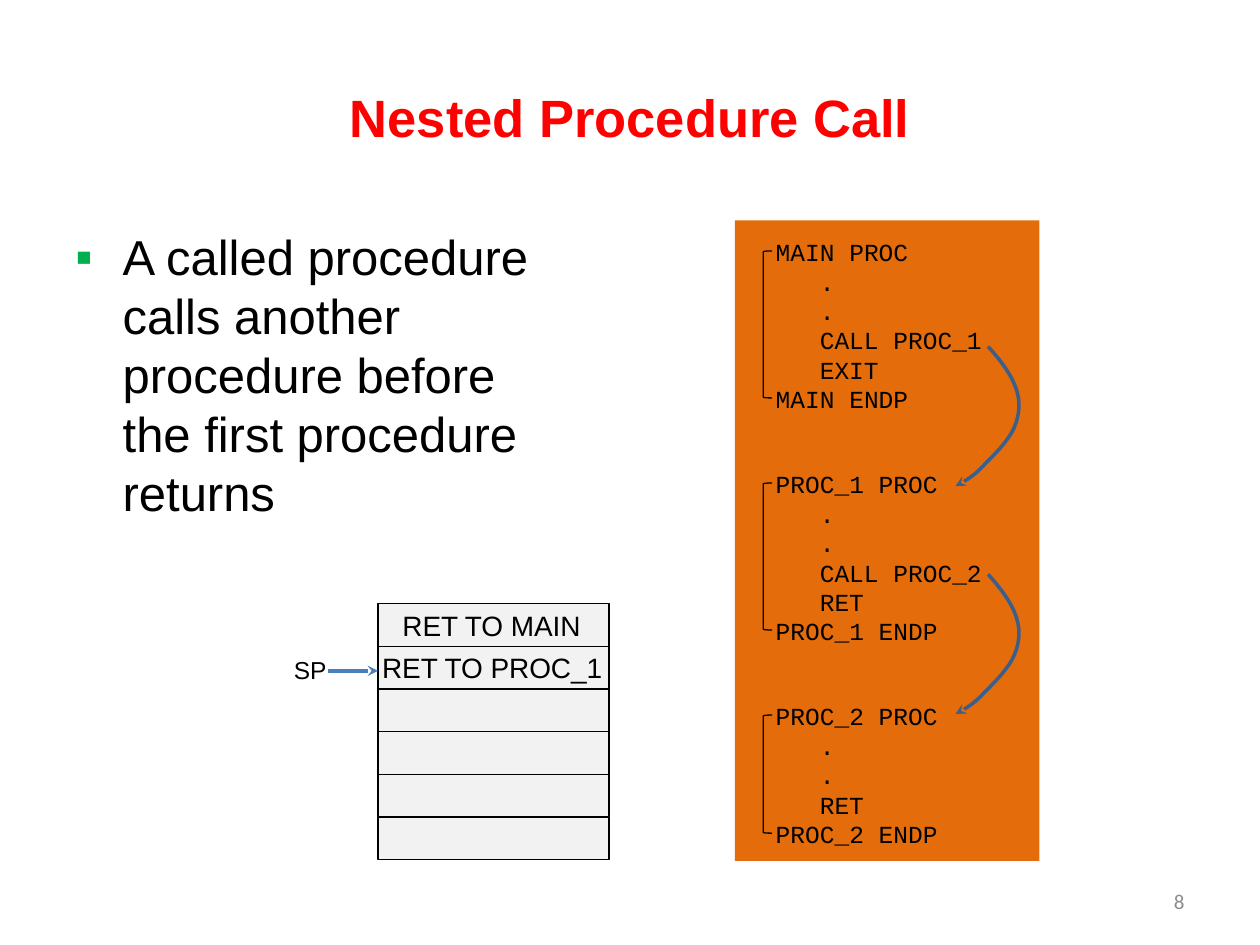
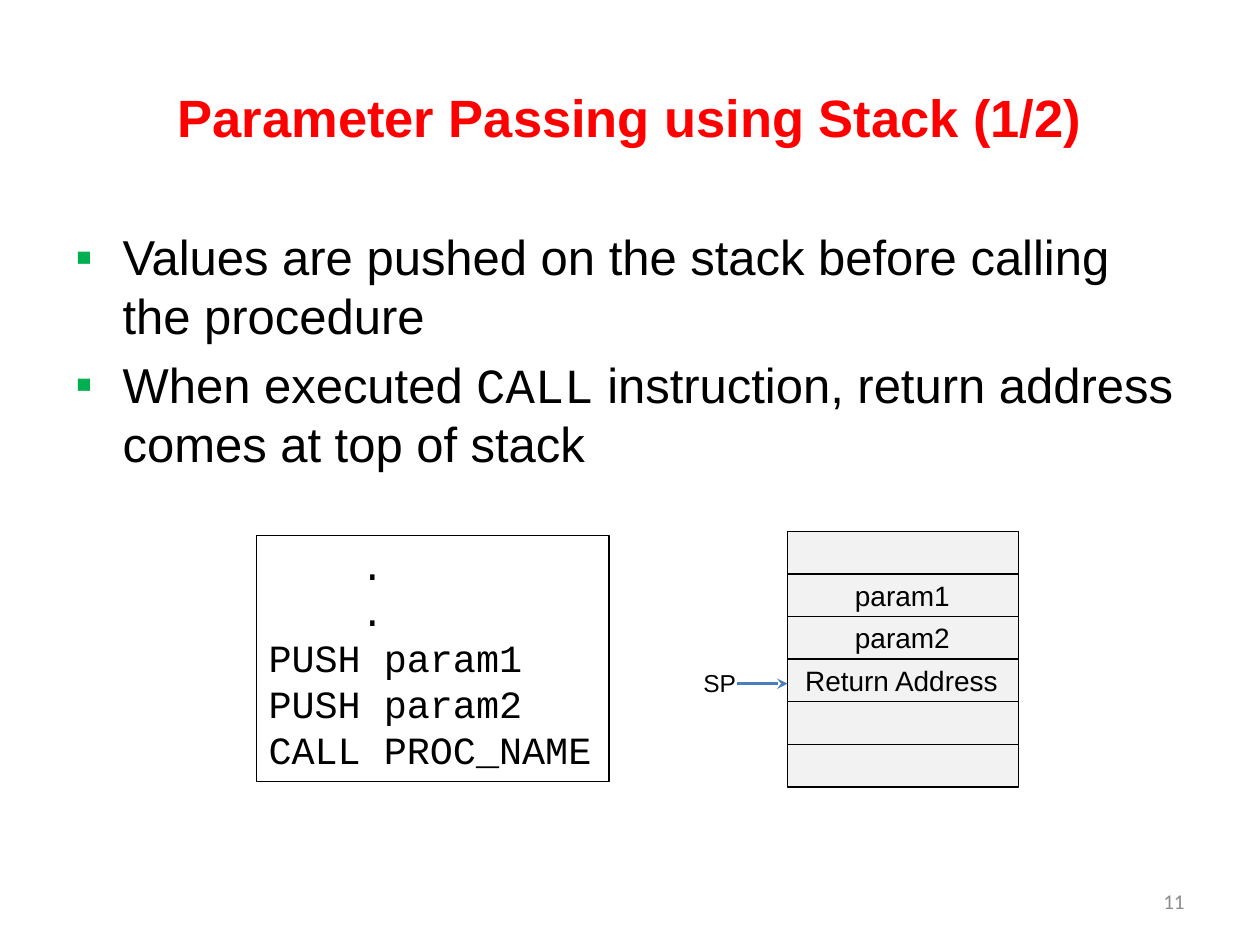
import pptx
import pptx.util
import pptx.dml.color
import pptx.enum.shapes
import pptx.enum.text
import pptx.oxml.ns
import lxml.etree

RED = pptx.dml.color.RGBColor(0xFF, 0x00, 0x00)
BLACK = pptx.dml.color.RGBColor(0x00, 0x00, 0x00)
GREEN = pptx.dml.color.RGBColor(0x00, 0xB0, 0x50)
GREY = pptx.dml.color.RGBColor(0x8C, 0x8C, 0x8C)
ORANGE = pptx.dml.color.RGBColor(0xE4, 0x6C, 0x0A)
CELL_GREY = pptx.dml.color.RGBColor(0xF2, 0xF2, 0xF2)
POINTER_BLUE = pptx.dml.color.RGBColor(0x4B, 0x7E, 0xBC)
CALL_BLUE = pptx.dml.color.RGBColor(0x3A, 0x5F, 0x8C)

COLUMNS, ROWS = 120, 90
LEFT = pptx.enum.text.PP_ALIGN.LEFT
CENTER = pptx.enum.text.PP_ALIGN.CENTER
RIGHT = pptx.enum.text.PP_ALIGN.RIGHT
TOP = pptx.enum.text.MSO_ANCHOR.TOP
MIDDLE = pptx.enum.text.MSO_ANCHOR.MIDDLE
RECTANGLE = pptx.enum.shapes.MSO_SHAPE.RECTANGLE
LEFT_BRACKET = pptx.enum.shapes.MSO_SHAPE.LEFT_BRACKET

SANS, MONO = "Arial", "Courier New"
TITLE = {"name": SANS, "size": pptx.util.Pt(30), "bold": True}
BODY = {"name": SANS, "size": pptx.util.Pt(28)}
BODY_CODE = {**BODY, "name": MONO}
LABEL = {"name": SANS, "size": pptx.util.Pt(16)}
POINTER_LABEL = {"name": SANS, "size": pptx.util.Pt(14)}
CODE = {"name": MONO, "size": pptx.util.Pt(14)}
LARGE_CODE = {"name": MONO, "size": pptx.util.Pt(22)}
NUMBER = {"name": "Calibri", "size": pptx.util.Pt(12)}

STACK_WIDTH, CELL_HEIGHT, CELL_COUNT = 22, 4.06, 6
LABEL_HEIGHT = 4.4

# Code lines are (text, indent in characters).
DOTS = [(".", 3), (".", 3)]
PROCEDURES = [
    [("MAIN PROC", 0), *DOTS, ("CALL PROC_1", 3), ("EXIT", 3), ("MAIN ENDP", 0)],
    [("PROC_1 PROC", 0), *DOTS, ("CALL PROC_2", 3), ("RET", 3), ("PROC_1 ENDP", 0)],
    [("PROC_2 PROC", 0), *DOTS, ("RET", 3), ("PROC_2 ENDP", 0)],
]
CALL_CURVE = [
    (94.1, 33), (95.3, 34.3), (96.4, 35.8), (96.8, 37.1), (97.2, 38.3),
    (97.1, 39.5), (96.6, 40.7), (96.1, 41.9), (94.8, 43.2), (93.8, 44.2),
    (93, 45.1), (92.2, 45.7), (91, 46.3),
]


def set_values(target, values):
    """Set each attribute named in a dict of format values."""
    for name, value in values.items():
        setattr(target, name, value)


def add_element(parent, tag, **attributes):
    """Append a drawing element to an XML parent."""
    return lxml.etree.SubElement(parent, pptx.oxml.ns.qn(tag), attributes)


def cubic_points(points, steps=8):
    """Return points along a chain of cubic curves."""
    result = []
    for start in range(0, len(points) - 1, 3):
        first, second, third, fourth = points[start:start + 4]
        for step in range(1, steps + 1):
            t = step / steps
            weights = ((1 - t) ** 3, 3 * t * (1 - t) ** 2, 3 * t * t * (1 - t), t ** 3)
            result.append(tuple(
                sum(weight * value for weight, value in zip(weights, values))
                for values in zip(first, second, third, fourth)))
    return result


class Deck:
    """The presentation's style and its current slide."""

    def __init__(self):
        """Start a presentation with a 10 by 7.5 inch page."""
        self.presentation = pptx.Presentation()
        self.presentation.slide_width = pptx.util.Inches(10)
        self.presentation.slide_height = pptx.util.Inches(7.5)
        self.slide = None

    def x(self, columns):
        """Convert grid columns to a length."""
        return round(self.presentation.slide_width * columns / COLUMNS)

    def y(self, rows):
        """Convert grid rows to a length."""
        return round(self.presentation.slide_height * rows / ROWS)

    def box(self, left, top, width, height):
        """Convert a grid box to four lengths."""
        return self.x(left), self.y(top), self.x(width), self.y(height)

    def add_run(self, paragraph, text, style, color=BLACK):
        """Add a formatted run."""
        run = paragraph.add_run()
        run.text = text
        set_values(run.font, style)
        run.font.color.rgb = color

    def start(self, title, number):
        """Add a slide with its title and number."""
        layout = self.presentation.slide_layouts[5]
        self.slide = self.presentation.slides.add_slide(layout)
        shape = self.slide.shapes.title
        names = ("left", "top", "width", "height")
        set_values(shape, dict(zip(names, self.box(6, 3.6, 108, 15))))
        shape.text_frame.vertical_anchor = MIDDLE
        paragraph = shape.text_frame.paragraphs[0]
        paragraph.alignment = CENTER
        self.add_run(paragraph, title, TITLE, RED)
        self.text(str(number), (86, 83.4, 28, 4.8), NUMBER, GREY,
                  align=RIGHT, anchor=MIDDLE)

    def text(self, text, area, style, color=BLACK, align=LEFT, anchor=TOP, wrap=True):
        """Add one line of text in a box."""
        frame = self.slide.shapes.add_textbox(*self.box(*area)).text_frame
        set_values(frame, {"word_wrap": wrap, "vertical_anchor": anchor})
        paragraph = frame.paragraphs[0]
        paragraph.alignment = align
        self.add_run(paragraph, text, style, color)

    def bullets(self, items, width):
        """Add bulleted paragraphs, each a list of (text, style) runs."""
        area = self.box(6, 21, width, 59.4)
        frame = self.slide.shapes.add_textbox(*area).text_frame
        frame.word_wrap = True
        for index, runs in enumerate(items):
            paragraph = frame.add_paragraph() if index else frame.paragraphs[0]
            paragraph.space_before = pptx.util.Pt(5.6)
            properties = paragraph._p.get_or_add_pPr()
            indent = self.x(4.5)
            properties.set("marL", str(indent))
            properties.set("indent", str(-indent))
            color = add_element(properties, "a:buClr")
            add_element(color, "a:srgbClr", val=str(GREEN))
            add_element(properties, "a:buFont", typeface=SANS)
            add_element(properties, "a:buChar", char="▪")
            for text, style in runs:
                self.add_run(paragraph, text, style)

    def shape(self, kind, area, fill=None, line=None):
        """Add a preset shape with an optional fill and thin line."""
        shape = self.slide.shapes.add_shape(kind, *self.box(*area))
        shape.shadow.inherit = False
        if fill is None:
            shape.fill.background()
        else:
            shape.fill.solid()
            shape.fill.fore_color.rgb = fill
        if line is None:
            shape.line.fill.background()
        else:
            shape.line.color.rgb = line
            shape.line.width = pptx.util.Pt(0.75)
        return shape

    def code(self, lines, shape, style):
        """Write indented code lines into a shape."""
        frame = shape.text_frame
        set_values(frame, {"word_wrap": True, "vertical_anchor": TOP, "margin_right": 0})
        for index, (text, indent) in enumerate(lines):
            paragraph = frame.add_paragraph() if index else frame.paragraphs[0]
            paragraph.alignment = LEFT
            margin = round(style["size"] * 0.6 * indent)
            paragraph._p.get_or_add_pPr().set("marL", str(margin))
            self.add_run(paragraph, text, style)

    def procedure(self, lines, top):
        """Add a bracketed procedure listing."""
        height = 2.75 * len(lines) + 1.6
        area = self.box(72.7, top, 22.2, height)
        self.code(lines, self.slide.shapes.add_textbox(*area), CODE)
        self.shape(LEFT_BRACKET, (72.7, top + 1.9, 0.84, height - 4.1), line=BLACK)

    def arrow_line(self, shape, color, end):
        """Format a line with a stealth head at one end."""
        shape.line.color.rgb = color
        shape.line.width = pptx.util.Pt(2)
        add_element(shape.line._get_or_add_ln(), end, type="stealth")

    def call_arrow(self, drop):
        """Draw a curved call arrow, moved down by some rows."""
        points = [(self.x(column), self.y(row + drop)) for column, row in CALL_CURVE]
        builder = self.slide.shapes.build_freeform(*points[0])
        builder.add_line_segments(cubic_points(points), close=False)
        curve = builder.convert_to_shape()
        curve.shadow.inherit = False
        curve.fill.background()
        self.arrow_line(curve, CALL_BLUE, "a:tailEnd")

    def stack(self, left, top, labels, pointer):
        """Draw a stack; labels map a cell to its text and box width."""
        for cell in range(CELL_COUNT):
            area = (left, top + cell * CELL_HEIGHT, STACK_WIDTH, CELL_HEIGHT)
            self.shape(RECTANGLE, area, CELL_GREY, BLACK)
        for cell, (text, width) in labels.items():
            middle = top + (cell + 0.5) * CELL_HEIGHT
            area = (left + (STACK_WIDTH - width) / 2, middle - LABEL_HEIGHT / 2,
                    width, LABEL_HEIGHT)
            self.text(text, area, LABEL, wrap=False)
        middle = top + (pointer + 0.5) * CELL_HEIGHT + 0.3
        self.text("SP", (left - 9.2, middle - 2.1, 5.5, 4), POINTER_LABEL, wrap=False)
        arrow = self.slide.shapes.add_connector(
            pptx.enum.shapes.MSO_CONNECTOR.STRAIGHT,
            self.x(left), self.y(middle), self.x(left - 4.8), self.y(middle))
        self.arrow_line(arrow, POINTER_BLUE, "a:headEnd")
        add_element(arrow._element.spPr, "a:effectLst")


def build_nested_call(deck):
    """Build the nested procedure call slide."""
    deck.start("Nested Procedure Call", 8)
    deck.bullets([[("A called procedure calls another procedure before "
                    "the first procedure returns", BODY)]], 46)
    deck.shape(RECTANGLE, (70, 21, 29, 61), ORANGE)
    for index, lines in enumerate(PROCEDURES):
        deck.procedure(lines, 22 + 22.1 * index)
    for drop in (0, 21.7):
        deck.call_arrow(drop)
    deck.stack(36, 57.5, {0: ("RET TO MAIN", 19.7), 1: ("RET TO PROC_1", 23.6)}, 1)


def build_parameter_passing(deck):
    """Build the parameter passing slide."""
    deck.start("Parameter Passing using Stack (1/2)", 11)
    deck.bullets([
        [("Values are pushed on the stack before calling the procedure", BODY)],
        [("When executed ", BODY), ("CALL", BODY_CODE),
         (" instruction, return address comes at top of stack", BODY)],
    ], 108)
    lines = [(".", 4), (".", 4), ("PUSH param1", 0), ("PUSH param2", 0),
             ("CALL PROC_NAME", 0)]
    listing = deck.shape(RECTANGLE, (24.4, 51, 33.6, 23.4), line=BLACK)
    deck.code(lines, listing, LARGE_CODE)
    labels = {1: ("param1", 11.5), 2: ("param2", 11.5), 3: ("Return Address", 21)}
    deck.stack(75, 50.6, labels, 3)


def main():
    """Build and save both slides."""
    deck = Deck()
    build_nested_call(deck)
    build_parameter_passing(deck)
    deck.presentation.save("out.pptx")


main()
